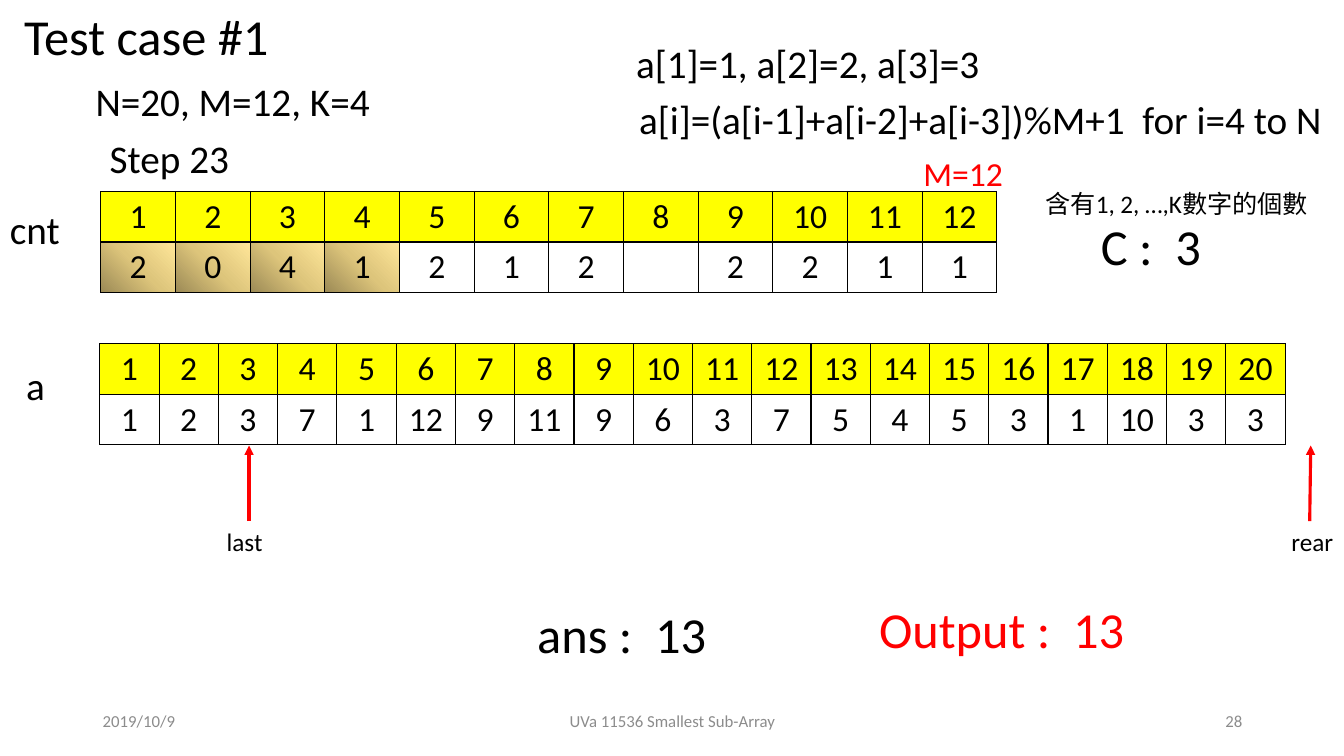
import dataclasses

import pptx
import pptx.dml.color
import pptx.enum.shapes
import pptx.enum.text
import pptx.oxml.ns
import pptx.util
from lxml import etree

PX = 9144  # EMU per px, 100 px to the inch


@dataclasses.dataclass(frozen=True)
class Theme:
    latin: str = "Calibri"
    east_asian: str = "Noto Sans CJK SC"
    ink: str = "000000"
    accent: str = "FF0000"
    muted: str = "8C8C8C"
    index_fill: str = "FFFF00"
    counted_stops: tuple = ((0, "9C8A56"), (50, "DDC57B"), (100, "FFE699"))
    display: int = 36
    body: int = 28
    cell: int = 24
    label: int = 18
    footer: int = 12


THEME = Theme()
ALIGN = pptx.enum.text.PP_ALIGN
ANCHOR = pptx.enum.text.MSO_ANCHOR


def px(length):
    return pptx.util.Emu(length * PX)


def rgb(color):
    return pptx.dml.color.RGBColor.from_string(color)


def child(parent, tag, **attributes):
    """Append a DrawingML element to parent."""
    return etree.SubElement(parent, pptx.oxml.ns.qn(tag), attributes)


def write_text(frame, text, size=THEME.body, color=THEME.ink, align=ALIGN.LEFT):
    paragraph = frame.paragraphs[0]
    paragraph.alignment = align
    run = paragraph.add_run()
    run.text = text
    run.font.size = pptx.util.Pt(size)
    run.font.color.rgb = rgb(color)
    run.font.name = THEME.latin
    child(run.font._element, "a:ea", typeface=THEME.east_asian)


def add_text(slide, box, text, anchor=ANCHOR.TOP, grow=True, **text_format):
    shape = slide.shapes.add_textbox(*map(px, box))
    frame = shape.text_frame
    frame.word_wrap = True
    frame.vertical_anchor = anchor
    if grow:
        frame.auto_size = pptx.enum.text.MSO_AUTO_SIZE.SHAPE_TO_FIT_TEXT
    write_text(frame, text, **text_format)


def add_footer(slide, box, text, align):
    add_text(slide, box, text, anchor=ANCHOR.MIDDLE, grow=False,
             size=THEME.footer, color=THEME.muted, align=align)


def border_cell(cell):
    properties = cell._tc.get_or_add_tcPr()
    for side in ("a:lnL", "a:lnR", "a:lnT", "a:lnB"):
        line = child(properties, side, w=str(pptx.util.Pt(1)))
        child(child(line, "a:solidFill"), "a:srgbClr", val=THEME.ink)


def fill_gradient(cell):
    """Shade a cell from its bottom left to its top right corner."""
    gradient = child(cell._tc.get_or_add_tcPr(), "a:gradFill", rotWithShape="1")
    stops = child(gradient, "a:gsLst")
    for percent, color in THEME.counted_stops:
        stop = child(stops, "a:gs", pos=str(percent * 1000))
        child(stop, "a:srgbClr", val=color)
    child(gradient, "a:lin", ang=str(315 * 60000), scaled="1")


def add_array(slide, box, values, shaded=0):
    """Draw indices from 1 above the values; shade the first few values."""
    rows = (range(1, len(values) + 1), values)
    table = slide.shapes.add_table(2, len(values), *map(px, box)).table
    table.first_row = False
    table.horz_banding = False
    for row, entries in enumerate(rows):
        for column, entry in enumerate(entries):
            cell = table.cell(row, column)
            border_cell(cell)
            if row == 0:
                cell.fill.solid()
                cell.fill.fore_color.rgb = rgb(THEME.index_fill)
            elif column < shaded:
                fill_gradient(cell)
            else:
                cell.fill.background()
            if entry is not None:
                write_text(cell.text_frame, str(entry), size=THEME.cell,
                           align=ALIGN.CENTER)


def add_arrow(slide, start, end):
    connector = slide.shapes.add_connector(
        pptx.enum.shapes.MSO_CONNECTOR.STRAIGHT, *map(px, start + end))
    connector.line.color.rgb = rgb(THEME.accent)
    connector.line.width = pptx.util.Pt(2.25)
    child(connector.line._get_or_add_ln(), "a:tailEnd", type="triangle")
    child(connector._element.spPr, "a:effectLst")


def main():
    presentation = pptx.Presentation()
    presentation.slide_width = px(1333)
    presentation.slide_height = px(750)
    slide = presentation.slides.add_slide(presentation.slide_layouts[6])

    add_footer(slide, (92, 695, 300, 40), "2019/10/9", ALIGN.LEFT)
    add_footer(slide, (442, 695, 450, 40), "UVa 11536 Smallest Sub-Array",
               ALIGN.CENTER)
    add_footer(slide, (942, 695, 300, 40), "28", ALIGN.RIGHT)

    add_text(slide, (14, 0, 295, 71), "Test case #1", size=THEME.display)
    add_text(slide, (85, 72, 323, 59), "N=20, M=12, K=4")
    add_text(slide, (621, 34, 421, 57), "a[1]=1, a[2]=2, a[3]=3")
    add_text(slide, (624, 90, 710, 57),
             "a[i]=(a[i-1]+a[i-2]+a[i-3])%M+1  for i=4 to N")
    add_text(slide, (99, 128, 183, 57), "Step 23")

    add_text(slide, (0, 199, 78, 57), "cnt")
    add_array(slide, (100, 190, 889, 100),
              (2, 0, 4, 1, 2, 1, 2, None, 2, 2, 1, 1), shaded=4)
    add_text(slide, (906, 147, 100, 50), "M=12", size=THEME.cell,
             color=THEME.accent)
    add_text(slide, (1027, 182, 294, 40), "含有1, 2, …,K數字的個數",
             size=THEME.label)
    add_text(slide, (1082, 208, 207, 71), "C :  3", size=THEME.display)

    add_text(slide, (16, 354, 78, 57), "a")
    add_array(slide, (99, 341, 1176, 100),
              (1, 2, 3, 7, 1, 12, 9, 11, 9, 6, 3, 7, 5, 4, 5, 3, 1, 10, 3, 3))
    for name, left, width, start, end in (("last", 215, 56, 247, 247),
                                          ("rear", 1271, 62, 1299, 1300)):
        add_arrow(slide, (start, 517), (end, 442))
        add_text(slide, (left, 517, width, 40), name, size=THEME.label)

    add_text(slide, (523, 593, 502, 71), "ans :  13", size=THEME.display)
    add_text(slide, (862, 588, 308, 71), "Output :  13", size=THEME.display,
             color=THEME.accent)

    presentation.save("out.pptx")


if __name__ == "__main__":
    main()
